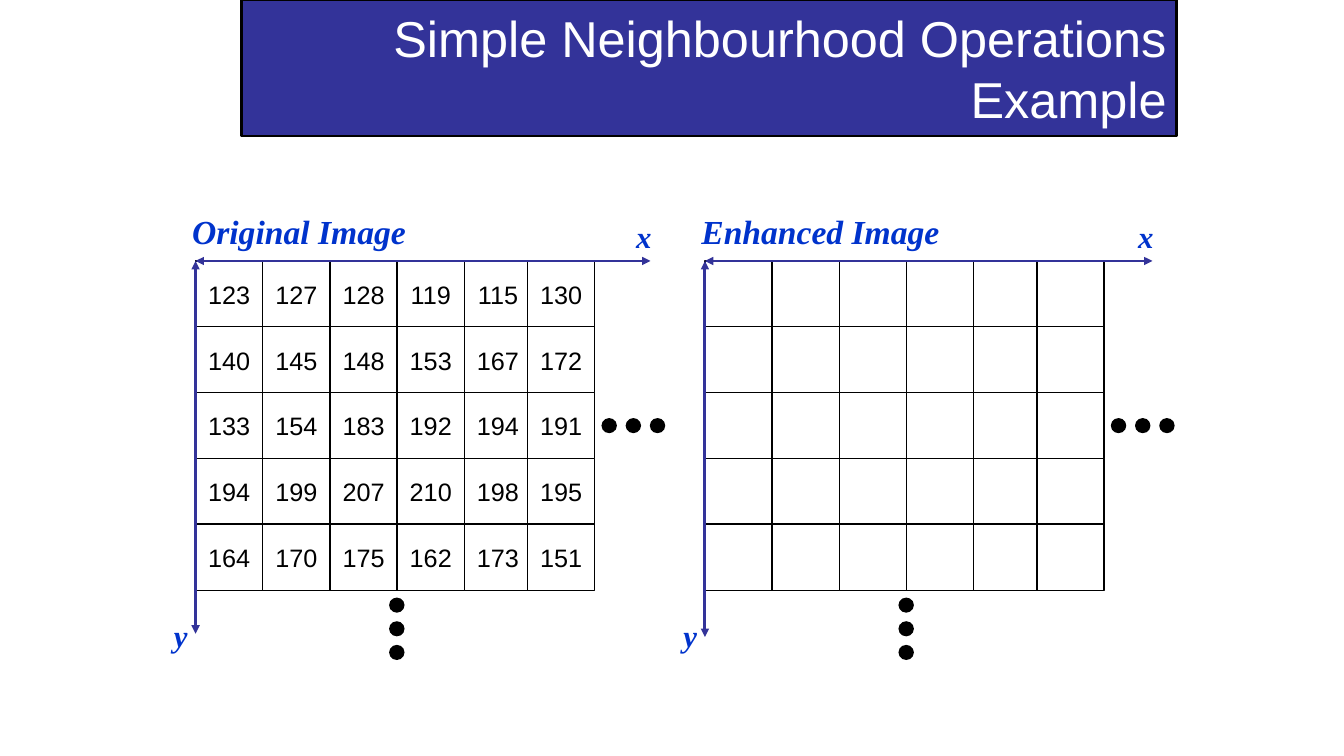
from dataclasses import dataclass

from lxml import etree
from pptx import Presentation
from pptx import util as u
from pptx.dml.color import RGBColor
from pptx.enum import shapes, text
from pptx.oxml.ns import qn


@dataclass(frozen=True)
class Theme:
    indigo: str = "333399"
    label_blue: str = "0033CC"
    black: str = "000000"
    white: str = "FFFFFF"
    sans: str = "Arial"
    serif: str = "Times New Roman"
    title_size: int = 36
    heading_size: int = 24
    axis_size: int = 22
    value_size: int = 18
    thick_line: int = 2
    thin_line: int = 1


@dataclass(frozen=True)
class Box:
    """Position and size in grid columns and rows."""
    column: float
    row: float
    width: float
    height: float


@dataclass(frozen=True)
class Panel:
    heading: str
    column: float
    heading_width: float
    x_length: float
    y_length: float
    values: tuple[tuple[int, ...], ...] = ()


THEME = Theme()
SLIDE_WIDTH, SLIDE_HEIGHT = u.Inches(13.33), u.Inches(7.5)
# One grid unit is one pixel cell of the diagrams
COLUMN, ROW = SLIDE_WIDTH / 20, SLIDE_HEIGHT / 11.5

PANEL_ROW = 3.97
PIXEL_COLUMNS, PIXEL_ROWS = 6, 5
LAST_COLUMN = 4.94  # the last pixel column slightly overlaps its neighbour
DOT_SIZE, DOT_STEP, DOT_COUNT = 0.23, 0.36, 3

PIXELS = (
    (123, 127, 128, 119, 115, 130),
    (140, 145, 148, 153, 167, 172),
    (133, 154, 183, 192, 194, 191),
    (194, 199, 207, 210, 198, 195),
    (164, 170, 175, 162, 173, 151),
)
PANELS = (
    Panel("Original Image", 2.91, 4.71, 6.77, 5.67, PIXELS),
    Panel("Enhanced Image", 10.49, 4.8, 6.66, 5.72),
)


def across(columns: float) -> u.Emu:
    return u.Emu(round(columns * COLUMN))


def down(rows: float) -> u.Emu:
    return u.Emu(round(rows * ROW))


def place(box: Box) -> tuple[u.Emu, ...]:
    return across(box.column), down(box.row), across(box.width), down(box.height)


def write(shape, words: str, *, size: int, font: str, color: str,
          align=text.PP_ALIGN.LEFT, anchor=text.MSO_ANCHOR.TOP,
          wrap: bool = False, emphasis: bool = False) -> None:
    frame = shape.text_frame
    frame.word_wrap = wrap
    frame.vertical_anchor = anchor
    paragraph = frame.paragraphs[0]
    paragraph.alignment = align
    run = paragraph.add_run()
    run.text = words
    run.font.size, run.font.name = u.Pt(size), font
    run.font.bold = run.font.italic = emphasis
    run.font.color.rgb = RGBColor.from_string(color)


def add_block(parent, kind, box: Box, fill: str, line_width: float = 0):
    shape = parent.add_shape(kind, *place(box))
    shape.shadow.inherit = False
    shape.fill.solid()
    shape.fill.fore_color.rgb = RGBColor.from_string(fill)
    if line_width:
        shape.line.color.rgb = RGBColor.from_string(THEME.black)
        shape.line.width = u.Pt(line_width)
    else:
        shape.line.fill.background()
    return shape


def add_axis(parent, column: float, row: float, width: float, height: float) -> None:
    axis = parent.add_connector(
        shapes.MSO_CONNECTOR.STRAIGHT, across(column), down(row),
        across(column + width), down(row + height))
    axis.line.color.rgb = RGBColor.from_string(THEME.indigo)
    axis.line.width = u.Pt(THEME.thick_line)
    properties = axis._element.spPr
    for end in ("a:headEnd", "a:tailEnd"):
        etree.SubElement(properties.find(qn("a:ln")), qn(end), type="triangle")
    etree.SubElement(properties, qn("a:effectLst"))


def add_label(parent, words: str, box: Box, size: int) -> None:
    label = parent.add_textbox(*place(box))
    write(label, words, size=size, font=THEME.serif, color=THEME.label_blue,
          emphasis=True)
    label.text_frame.auto_size = text.MSO_AUTO_SIZE.SHAPE_TO_FIT_TEXT


def add_dots(slide, column: float, row: float, column_step: float, row_step: float) -> None:
    group = slide.shapes.add_group_shape().shapes
    for index in range(DOT_COUNT):
        box = Box(column + index * column_step, row + index * row_step,
                  DOT_SIZE, DOT_SIZE)
        add_block(group, shapes.MSO_SHAPE.OVAL, box, THEME.black)


def add_panel(slide, panel: Panel) -> None:
    group = slide.shapes.add_group_shape().shapes
    left, top = panel.column, PANEL_ROW

    # Pixel grid
    for row in range(PIXEL_ROWS):
        for column in range(PIXEL_COLUMNS):
            box = Box(left + min(column, LAST_COLUMN), top + row, 1, 1.01)
            cell = add_block(group, shapes.MSO_SHAPE.RECTANGLE, box,
                             THEME.white, THEME.thin_line)
            if panel.values:
                write(cell, str(panel.values[row][column]), size=THEME.value_size,
                      font=THEME.sans, color=THEME.black,
                      align=text.PP_ALIGN.CENTER, anchor=text.MSO_ANCHOR.MIDDLE)

    # Axes and labels
    add_axis(group, left, top, panel.x_length, 0)
    add_axis(group, left, top, 0, panel.y_length)
    add_label(group, panel.heading,
              Box(left - 0.2, top - 0.84, panel.heading_width, 0.78), THEME.heading_size)
    add_label(group, "x",
              Box(left + panel.x_length - 0.36, top - 0.73, 0.62, 0.72), THEME.axis_size)
    add_label(group, "y", Box(left - 0.47, top + 5.33, 0.66, 0.72), THEME.axis_size)

    # Continuation dots
    add_dots(slide, left + 6.04, top + 2.39, DOT_STEP, 0)
    add_dots(slide, left + 2.88, top + 5.12, 0, DOT_STEP)


def add_title(slide) -> None:
    title = add_block(slide.shapes, shapes.MSO_SHAPE.RECTANGLE,
                      Box(3.59, 0, 13.92, 2.07), THEME.indigo, THEME.thick_line)
    write(title, "Simple Neighbourhood Operations Example", size=THEME.title_size,
          font=THEME.sans, color=THEME.white, align=text.PP_ALIGN.RIGHT,
          anchor=text.MSO_ANCHOR.MIDDLE, wrap=True)


def main() -> None:
    presentation = Presentation()
    presentation.slide_width, presentation.slide_height = SLIDE_WIDTH, SLIDE_HEIGHT
    slide = presentation.slides.add_slide(presentation.slide_layouts[6])
    add_title(slide)
    for panel in PANELS:
        add_panel(slide, panel)
    presentation.save("out.pptx")


if __name__ == "__main__":
    main()
